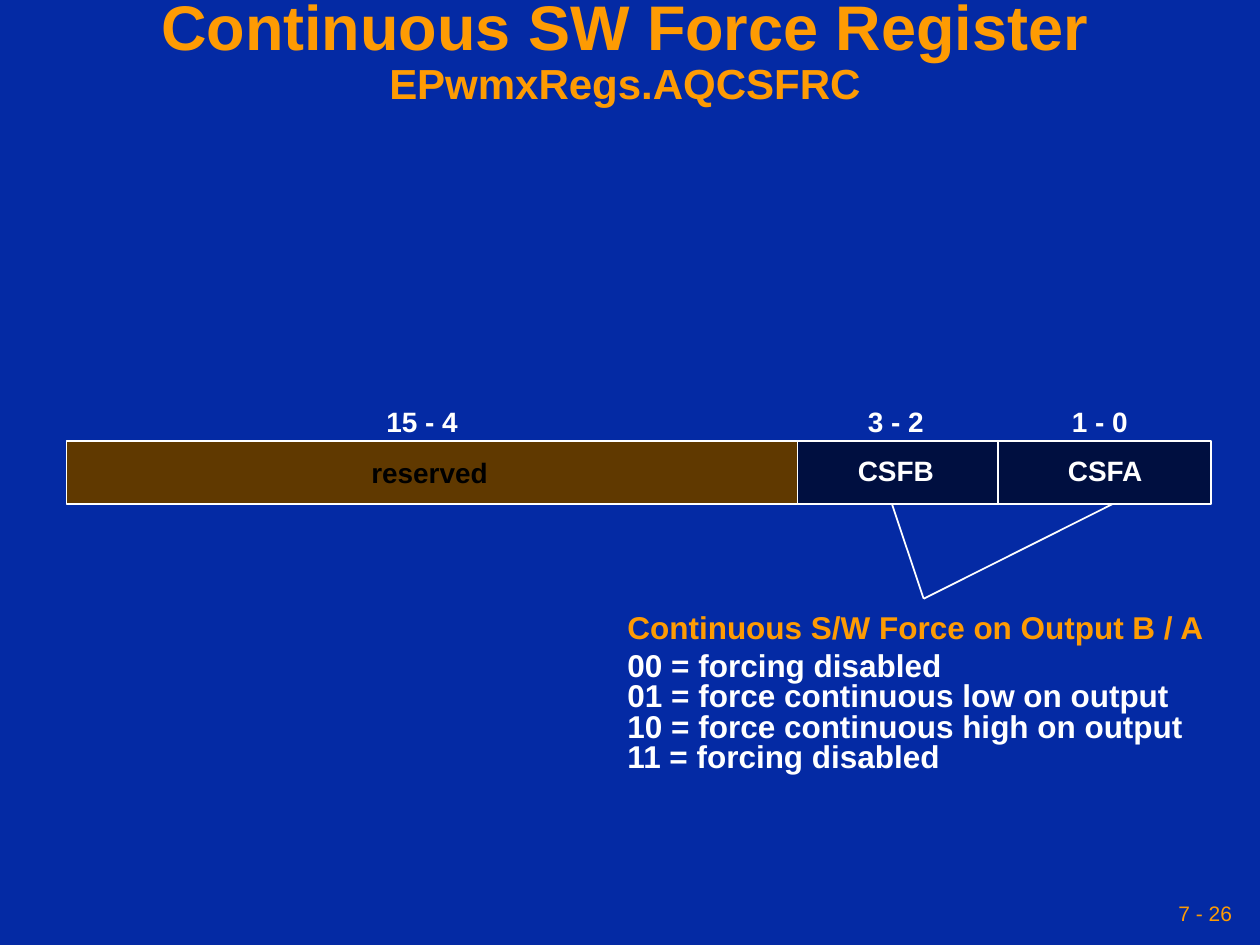
from lxml.etree import SubElement
from pptx import Presentation
from pptx.dml.color import RGBColor
from pptx.enum.shapes import MSO_CONNECTOR, MSO_SHAPE
from pptx.enum.text import MSO_ANCHOR, PP_ALIGN
from pptx.oxml.ns import qn
from pptx.util import Cm, Pt

BLUE, NAVY, BROWN = "042AA4", "000F40", "603900"
ORANGE, WHITE, BLACK = "FE9B03", "FFFFFF", "000000"


def color(hex_text):
    return RGBColor.from_string(hex_text)


class SlideBuilder:
    """Holds the slide style and draws elements, with lengths in centimetres."""

    font = "Arial"
    line_width = Pt(1)

    def __init__(self, deck):
        self.slide = deck.slides.add_slide(deck.slide_layouts[6])
        background = self.slide.background.fill
        background.solid()
        background.fore_color.rgb = color(BLUE)

    def style(self, para, size, hex_text, bold=True):
        for span in para.runs:
            span.font.name = self.font
            span.font.size = Pt(size)
            span.font.bold = bold
            span.font.color.rgb = color(hex_text)

    def text(self, left, top, width, height, text, size, hex_text, bold=True,
             align=PP_ALIGN.LEFT, anchor=MSO_ANCHOR.TOP, spacing=0.8,
             side_inset=0.25, wrap=False):
        box = self.slide.shapes.add_textbox(Cm(left), Cm(top), Cm(width), Cm(height))
        frame = box.text_frame
        frame.text = text
        frame.word_wrap = wrap
        frame.vertical_anchor = anchor
        frame.margin_left = frame.margin_right = Cm(side_inset)
        frame.margin_top = frame.margin_bottom = Cm(0.13)
        for para in frame.paragraphs:
            para.alignment = align
            para.line_spacing = spacing
            self.style(para, size, hex_text, bold)
        return frame

    def label(self, center, top, width, text, hex_text=WHITE):
        self.text(center - width / 2, top, width, 0.81, text, 16, hex_text,
                  align=PP_ALIGN.CENTER)

    def field(self, left, top, width, height, fill):
        shape = self.slide.shapes.add_shape(
            MSO_SHAPE.RECTANGLE, Cm(left), Cm(top), Cm(width), Cm(height))
        shape.shadow.inherit = False
        shape.fill.solid()
        shape.fill.fore_color.rgb = color(fill)
        shape.line.color.rgb = color(WHITE)
        shape.line.width = self.line_width

    def line(self, start, end):
        connector = self.slide.shapes.add_connector(
            MSO_CONNECTOR.STRAIGHT, *map(Cm, start + end))
        connector.line.color.rgb = color(WHITE)
        connector.line.width = self.line_width
        SubElement(connector._element.spPr, qn("a:effectLst"))


def add_titles(builder):
    title = builder.text(0, 0, 25.2, 2.11,
                         "Continuous SW Force Register\vEPwmxRegs.AQCSFRC",
                         36, ORANGE, align=PP_ALIGN.CENTER,
                         anchor=MSO_ANCHOR.MIDDLE, spacing=0.9,
                         side_inset=0.13, wrap=True)
    title.paragraphs[0].runs[1].font.size = Pt(24)
    builder.text(17.35, 17.98, 7.62, 0.84, "7 - 26", 12, ORANGE, bold=False,
                 align=PP_ALIGN.RIGHT, anchor=MSO_ANCHOR.MIDDLE, spacing=1.0,
                 side_inset=0.13)


def add_register(builder):
    top, height = 8.89, 1.27
    bottom = top + height
    builder.field(16.08, top, 8.33, height, NAVY)
    builder.field(1.34, top, 14.74, height, BROWN)
    builder.line((20.12, top), (20.12, bottom))

    bits_top, name_top = 8.15, 9.14
    builder.label(8.51, bits_top, 2.2, "15 - 4")
    builder.label(18.06, bits_top, 1.8, "3 - 2")
    builder.label(22.17, bits_top, 1.8, "1 - 0")
    builder.label(8.66, 9.19, 3.1, "reserved", BLACK)
    builder.label(18.06, name_top, 2.3, "CSFB")
    builder.label(22.28, name_top, 2.3, "CSFA")

    for field_center in (22.43, 17.98):
        builder.line((field_center, bottom), (18.62, 12.07))


def add_values(builder):
    lines = ["Continuous S/W Force on Output B / A",
             "00 = forcing disabled",
             "01 = force continuous low on output",
             "10 = force continuous high on output",
             "11 = forcing disabled"]
    frame = builder.text(12.4, 12.27, 12.3, 3.48, "\n".join(lines), 18, WHITE,
                         anchor=MSO_ANCHOR.MIDDLE)
    heading = frame.paragraphs[0]
    heading.space_after = Pt(4.5)
    builder.style(heading, 18, ORANGE)


def main():
    deck = Presentation()
    deck.slide_width, deck.slide_height = Cm(25.4), Cm(19.05)
    builder = SlideBuilder(deck)
    add_titles(builder)
    add_register(builder)
    add_values(builder)
    deck.save("out.pptx")


if __name__ == "__main__":
    main()
